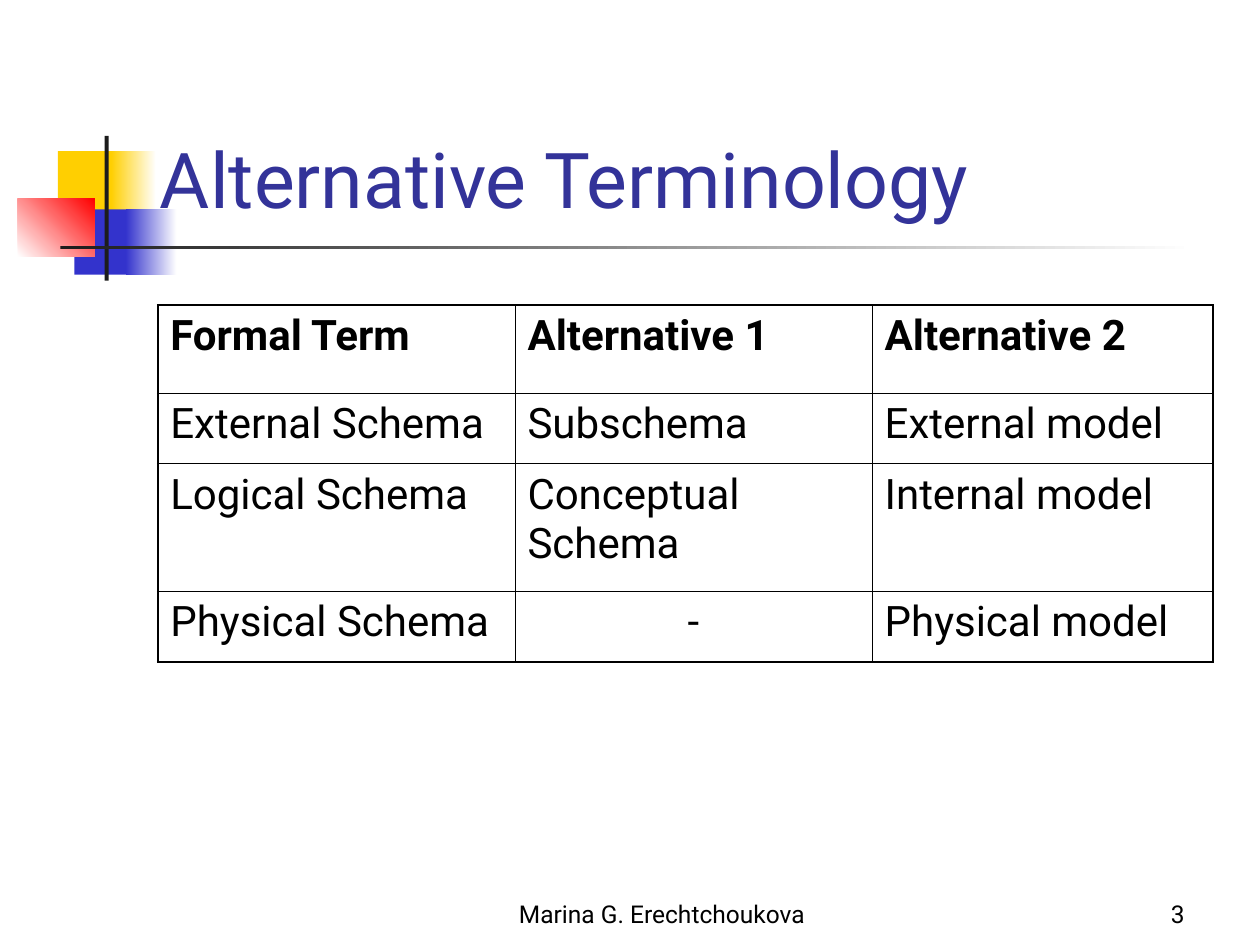
from lxml.etree import SubElement
from pptx import Presentation
from pptx.dml.color import RGBColor
from pptx.enum.shapes import MSO_SHAPE
from pptx.enum.text import MSO_ANCHOR, MSO_AUTO_SIZE, PP_ALIGN
from pptx.oxml.ns import qn
from pptx.util import Cm, Pt

COLORS = {
    "yellow": "FFCF01", "blue": "3333CC", "red": "FF0000", "dark": "1C1C1C",
    "white": "FFFFFF", "black": "000000", "title": "333399",
}
FONT = "Roboto"
THICK, THIN = 1.08, 0.45

# Decoration: left, top, width, height in cm, colours, gradient angle
DECORATION = [
    (1.17, 3.05, 1.22, 1.32, ["yellow"], 0),
    (2.24, 3.05, 0.91, 1.32, ["yellow", "white"], 0),
    (1.50, 4.22, 1.17, 1.32, ["blue"], 0),
    (2.54, 4.22, 1.02, 1.32, ["blue", "white"], 0),
    (0.36, 4.01, 1.55, 1.17, ["white", "red"], 45),
    (2.11, 2.74, 0.08, 2.92, ["dark"], 0),
    (1.22, 4.95, 22.86, 0.08, ["dark", "white"], 0),
]
TERMS = [
    ["Formal Term", "Alternative 1", "Alternative 2"],
    ["External Schema", "Subschema", "External model"],
    ["Logical Schema", "Conceptual Schema", "Internal model"],
    ["Physical Schema", "-", "Physical model"],
]
COLUMN_WIDTHS = [7.2, 7.2, 6.87]
ROW_HEIGHTS = [1.78, 1.42, 2.57, 1.42]


def rgb(name):
    return RGBColor.from_string(COLORS[name])


def apply_format(target, values):
    for name, value in values.items():
        setattr(target, name, value)


def write_text(frame, text, size, color="black", bold=False, **para_format):
    para = frame.paragraphs[0]
    apply_format(para, para_format)
    span = para.add_run()
    span.text = text
    apply_format(span.font, {"name": FONT, "size": Pt(size), "bold": bold})
    span.font.color.rgb = rgb(color)


def add_block(page, left, top, width, height, colors, angle):
    block = page.shapes.add_shape(
        MSO_SHAPE.RECTANGLE, Cm(left), Cm(top), Cm(width), Cm(height))
    block.shadow.inherit = False
    block.line.fill.background()
    if len(colors) == 1:
        block.fill.solid()
        block.fill.fore_color.rgb = rgb(colors[0])
        return
    block.fill.gradient()
    block.fill.gradient_angle = angle
    for stop, position, color in zip(block.fill.gradient_stops, (0, 1), colors):
        stop.position = position
        stop.color.rgb = rgb(color)


def add_title(page, text):
    title = page.shapes.title
    apply_format(title, {"left": Cm(2.97), "top": Cm(1.47),
                         "width": Cm(21.64), "height": Cm(3.18)})
    apply_format(title.text_frame, {"vertical_anchor": MSO_ANCHOR.BOTTOM,
                                    "auto_size": MSO_AUTO_SIZE.NONE})
    write_text(title.text_frame, text, 44, "title", alignment=PP_ALIGN.LEFT)


def add_footer(page, text, left, width, alignment):
    box = page.shapes.add_textbox(Cm(left), Cm(17.58), Cm(width), Cm(1.27))
    apply_format(box.text_frame, {"word_wrap": True,
                                  "vertical_anchor": MSO_ANCHOR.BOTTOM})
    write_text(box.text_frame, text, 14, alignment=alignment)


def set_borders(cell, widths):
    properties = cell._tc.get_or_add_tcPr()
    for side, width in widths.items():
        line = SubElement(properties, qn(f"a:ln{side}"), w=str(int(Pt(width))))
        fill = SubElement(line, qn("a:solidFill"))
        SubElement(fill, qn("a:srgbClr"), val=COLORS["black"])


def add_terms_table(page):
    rows, columns = len(TERMS), len(TERMS[0])
    table = page.shapes.add_table(
        rows, columns, Cm(3.18), Cm(6.15),
        Cm(sum(COLUMN_WIDTHS)), Cm(sum(ROW_HEIGHTS))).table
    apply_format(table, {"first_row": False, "horz_banding": False})
    for column, width in zip(table.columns, COLUMN_WIDTHS):
        column.width = Cm(width)
    for row, height in zip(table.rows, ROW_HEIGHTS):
        row.height = Cm(height)

    for r, terms in enumerate(TERMS):
        for c, term in enumerate(terms):
            cell = table.cell(r, c)
            write_text(cell.text_frame, term, 24, bold=r == 0,
                       space_before=Pt(6),
                       alignment=PP_ALIGN.CENTER if term == "-" else PP_ALIGN.LEFT)
            # Thick lines only on the outer edges
            outer = {"L": c == 0, "R": c == columns - 1,
                     "T": r == 0, "B": r == rows - 1}
            set_borders(cell, {side: THICK if edge else THIN
                               for side, edge in outer.items()})
            cell.fill.background()


def main():
    deck = Presentation()
    apply_format(deck, {"slide_width": Cm(25.4), "slide_height": Cm(19.05)})
    page = deck.slides.add_slide(deck.slide_layouts[5])

    # Decoration beside and below the title
    for block in DECORATION:
        add_block(page, *block)

    # Footer
    add_footer(page, "Marina G. Erechtchoukova", 9.32, 8.05, PP_ALIGN.CENTER)
    add_footer(page, "3", 18.85, 5.28, PP_ALIGN.RIGHT)

    # Title and table
    add_title(page, "Alternative Terminology")
    add_terms_table(page)

    deck.save("out.pptx")


if __name__ == "__main__":
    main()
